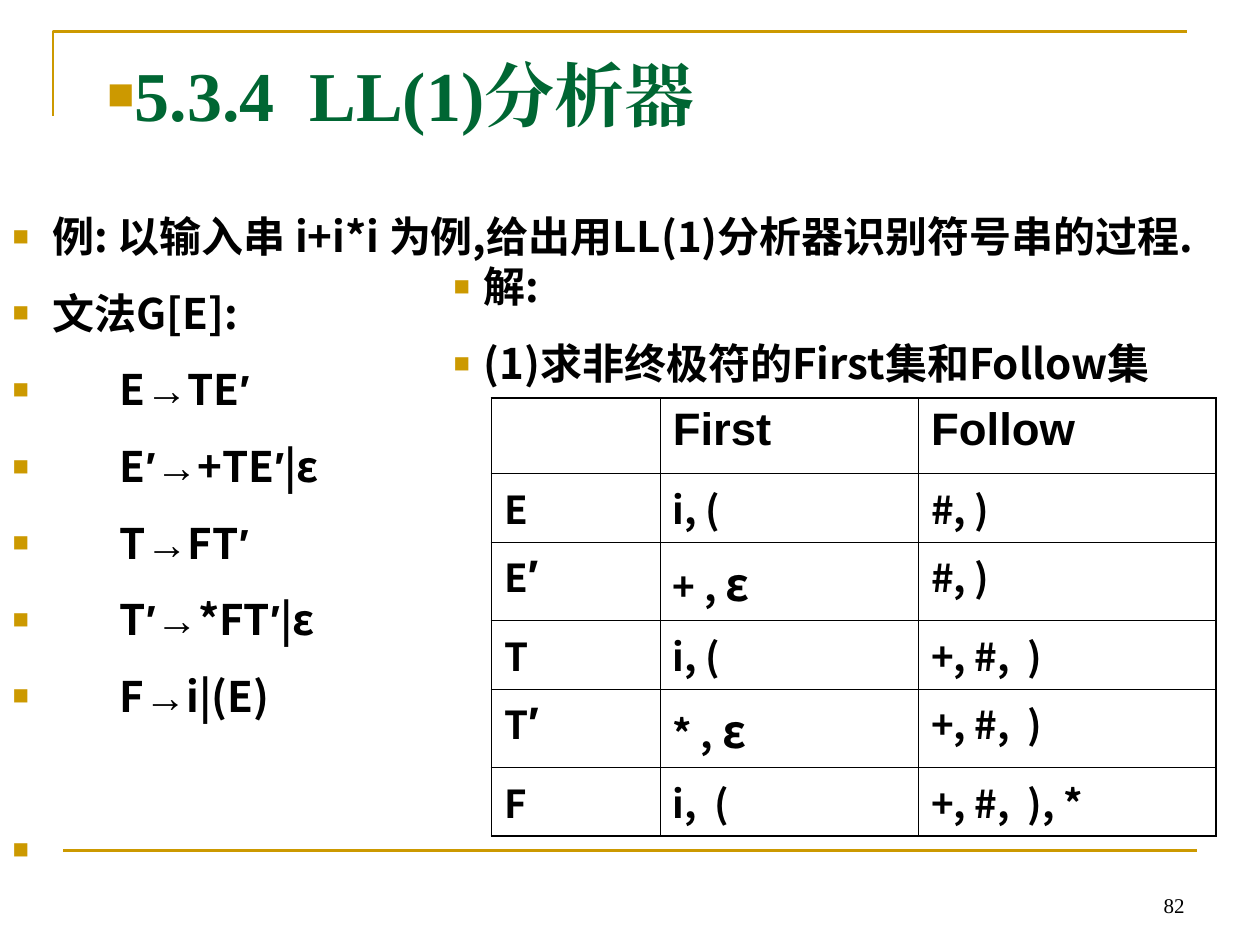
from itertools import groupby

from lxml.etree import SubElement
from pptx import Presentation
from pptx.dml.color import RGBColor
from pptx.enum.shapes import MSO_CONNECTOR as Connector
from pptx.enum.text import MSO_ANCHOR as Anchor, MSO_AUTO_SIZE as AutoSize, PP_ALIGN as Align
from pptx.oxml.ns import qn
from pptx.util import Inches, Pt

GOLD = RGBColor(0xCC, 0x99, 0x00)
GREEN = RGBColor(0x00, 0x66, 0x33)
BLACK = RGBColor(0x00, 0x00, 0x00)

SANS = "Noto Sans CJK SC"
SERIF = "Times New Roman"
ARIAL = "Arial"

THIN, THICK = 0.45, 1.08
PRODUCTIONS = ["E→TE′", "E′→+TE′|ε", "T→FT′", "T′→*FT′|ε", "F→i|(E)"]
GRAMMAR_SYMBOLS = {"→": (ARIAL, 24), "′": (ARIAL, 24)}
TABLE_SYMBOLS = {"′": (ARIAL, 26), "ε": (SANS, 26)}
SETS = [
    ["", "First", "Follow"],
    ["E", "i, (", "#, )"],
    ["E′", "+ , ε", "#, )"],
    ["T", "i, (", "+, #,  )"],
    ["T′", "* , ε", "+, #,  )"],
    ["F", "i,  (", "+, #,  ), *"],
]
COLUMN_WIDTHS = [1.34, 2.05, 2.36]
ROW_HEIGHTS = [0.6, 0.5, 0.565, 0.5, 0.565, 0.5]


def set_font(font, name, size):
    font.name = name
    font.size = Pt(size)
    SubElement(font._element, qn("a:ea"), typeface=name)


def style_paragraph(paragraph, name, size, color=BLACK, bold=True):
    paragraph.font.bold = bold
    paragraph.font.color.rgb = color
    set_font(paragraph.font, name, size)


def add_bullet(paragraph, indent):
    properties = paragraph._p.get_or_add_pPr()
    properties.set("marL", str(Inches(indent)))
    properties.set("indent", str(-Inches(indent)))
    color = SubElement(properties, qn("a:buClr"))
    SubElement(color, qn("a:srgbClr"), val=str(GOLD))
    SubElement(properties, qn("a:buSzPct"), val="65000")
    SubElement(properties, qn("a:buFont"), typeface=ARIAL)
    SubElement(properties, qn("a:buChar"), char="■")


def add_runs(paragraph, text, symbols):
    for style, characters in groupby(text, symbols.get):
        run = paragraph.add_run()
        run.text = "".join(characters)
        if style:
            set_font(run.font, *style)


def place(shape, left, top, width, height):
    shape.left, shape.top = Inches(left), Inches(top)
    shape.width, shape.height = Inches(width), Inches(height)
    frame = shape.text_frame
    frame.word_wrap = True
    frame.auto_size = AutoSize.NONE
    frame.vertical_anchor = Anchor.TOP
    return frame


def fill_title(shape):
    paragraph = place(shape, 0.75, 0.36, 8.58, 0.71).paragraphs[0]
    paragraph.alignment = Align.LEFT
    add_bullet(paragraph, 0.22)
    style_paragraph(paragraph, SERIF, 40, GREEN)
    add_runs(paragraph, "5.3.4  LL(1)分析器", {})


def fill_list(frame, items):
    for index, (text, indent, space) in enumerate(items):
        paragraph = frame.add_paragraph() if index else frame.paragraphs[0]
        paragraph.space_before = Pt(space)
        add_bullet(paragraph, indent)
        style_paragraph(paragraph, SANS, 24)
        add_runs(paragraph, text, GRAMMAR_SYMBOLS)


def add_frame_lines(slide):
    builder = slide.shapes.build_freeform(Inches(0.42), Inches(0.92))
    builder.add_line_segments(
        [(Inches(0.42), Inches(0.25)), (Inches(9.42), Inches(0.25))], close=False)
    corner = builder.convert_to_shape()
    corner.shadow.inherit = False
    corner.fill.background()
    footer = slide.shapes.add_connector(
        Connector.STRAIGHT, Inches(0.5), Inches(6.75), Inches(9.5), Inches(6.75))
    SubElement(footer._element.spPr, qn("a:effectLst"))
    for shape in (corner, footer):
        shape.line.color.rgb = GOLD
        shape.line.width = Pt(1.5)


def add_slide_number(slide):
    frame = place(slide.shapes.add_textbox(0, 0, 0, 0), 7.17, 6.83, 2.33, 0.5)
    frame.vertical_anchor = Anchor.BOTTOM
    paragraph = frame.paragraphs[0]
    paragraph.alignment = Align.RIGHT
    style_paragraph(paragraph, SERIF, 12, bold=False)
    add_runs(paragraph, "82", {})


def set_borders(cell, outer_sides):
    properties = cell._tc.get_or_add_tcPr()
    for side in ("L", "R", "T", "B"):
        width = Pt(THICK if side in outer_sides else THIN)
        line = SubElement(properties, qn(f"a:ln{side}"), w=str(width))
        fill = SubElement(line, qn("a:solidFill"))
        SubElement(fill, qn("a:srgbClr"), val=str(BLACK))


def add_sets_table(slide):
    last_row, last_column = len(SETS) - 1, len(COLUMN_WIDTHS) - 1
    table = slide.shapes.add_table(
        len(SETS), len(COLUMN_WIDTHS), Inches(3.9), Inches(3.16),
        Inches(sum(COLUMN_WIDTHS)), Inches(sum(ROW_HEIGHTS))).table
    table.first_row = table.horz_banding = False
    for column, width in zip(table.columns, COLUMN_WIDTHS):
        column.width = Inches(width)
    for row, height in zip(table.rows, ROW_HEIGHTS):
        row.height = Inches(height)
    for row, texts in enumerate(SETS):
        for column, text in enumerate(texts):
            edges = {"L": column == 0, "R": column == last_column,
                     "T": row == 0, "B": row == last_row}
            cell = table.cell(row, column)
            set_borders(cell, [side for side, outer in edges.items() if outer])
            cell.fill.background()
            paragraph = cell.text_frame.paragraphs[0]
            style_paragraph(paragraph, *((SANS, 22) if row else (ARIAL, 26)))
            add_runs(paragraph, text, TABLE_SYMBOLS)


def main():
    presentation = Presentation()
    presentation.slide_width, presentation.slide_height = Inches(10), Inches(7.5)
    slide = presentation.slides.add_slide(presentation.slide_layouts[3])
    title, grammar, solution = slide.placeholders
    add_frame_lines(slide)
    add_slide_number(slide)
    fill_title(title)
    fill_list(place(grammar, 0, 1.62, 9.88, 5.77), [
        (" 例: 以输入串 i+i*i 为例,给出用LL(1)分析器识别符号串的过程.", 0.24, 0),
        (" 文法G[E]:", 0.24, 15),
        *[(production, 0.85, 15) for production in PRODUCTIONS],
        (" ", 0.24, 59),
    ])
    fill_list(place(solution, 3.5, 2.02, 6.3, 1.51), [
        ("解:", 0.24, 0),
        ("(1)求非终极符的First集和Follow集", 0.24, 15),
    ])
    add_sets_table(slide)
    presentation.save("out.pptx")


if __name__ == "__main__":
    main()
